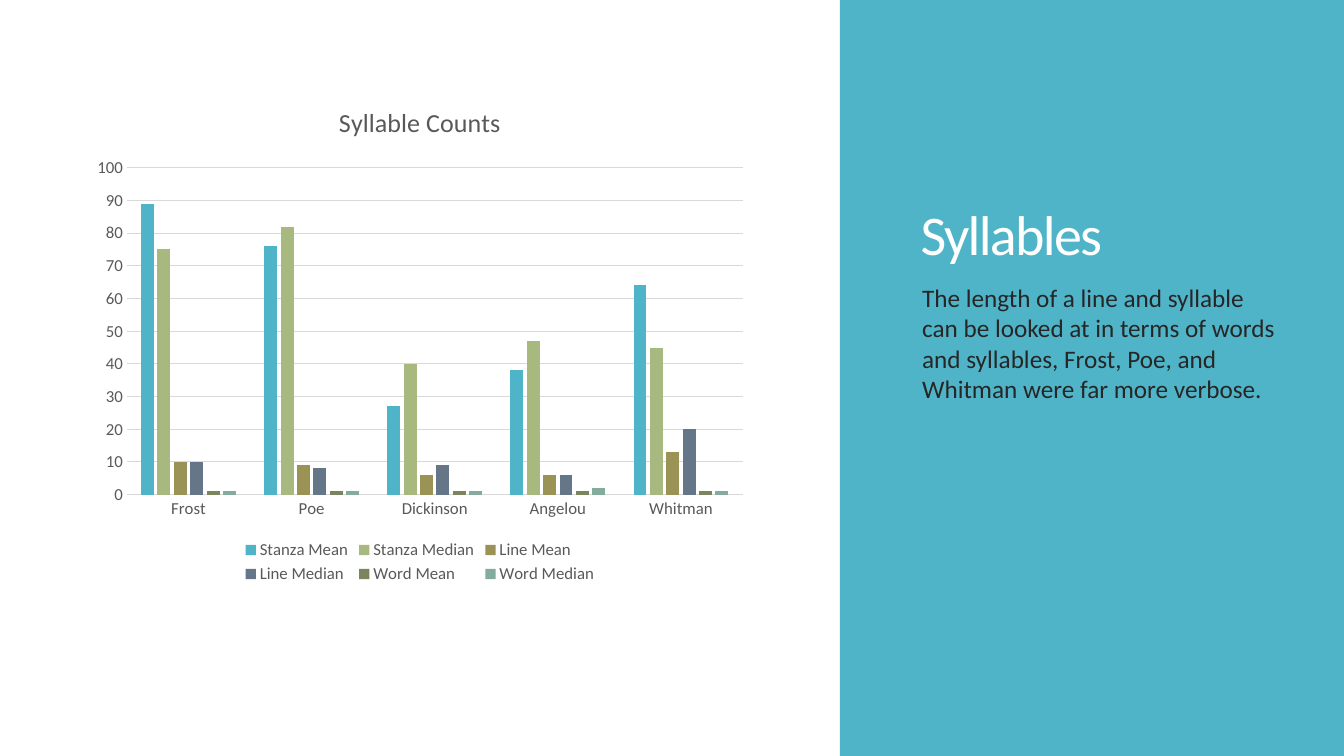
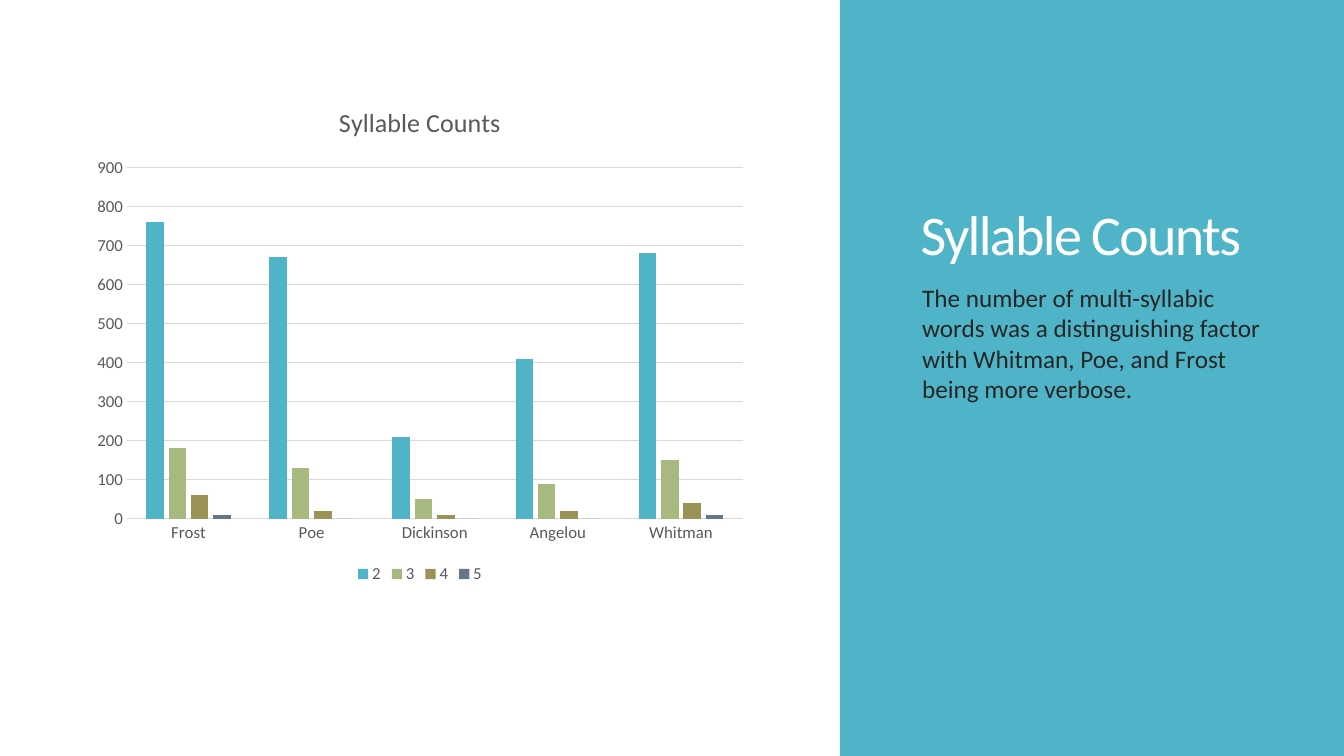
import pptx
import pptx.chart.data
import pptx.dml.color
import pptx.enum.chart
import pptx.enum.shapes
import pptx.enum.text
import pptx.util

COLORS = {
    "band": "50B4C8", "title": "FFFFFF", "body": "262626",
    "label": "595959", "grid": "D9D9D9", "page": "FFFFFF",
}
SERIES_COLORS = ["50B4C8", "A8B97F", "9B9256", "657689", "7A855D", "84AC9D"]
FONT = "Calibri"
POETS = ["Frost", "Poe", "Dickinson", "Angelou", "Whitman"]

deck = pptx.Presentation()
deck.slide_width = pptx.util.Inches(13.33)
deck.slide_height = pptx.util.Inches(7.5)
COLUMN = deck.slide_width / 16
ROW = deck.slide_height / 9
CHART_BOX = (1, 1, 8, 6)
BAND_BOX = (10, 0, 6, 9)


def grid_box(left, top, width, height):
    return (round(left * COLUMN), round(top * ROW),
            round(width * COLUMN), round(height * ROW))


def rgb(name):
    return pptx.dml.color.RGBColor.from_string(COLORS.get(name, name))


def style_font(font, size, color):
    font.name = FONT
    font.size = pptx.util.Pt(size)
    font.bold = False
    font.color.rgb = rgb(color)


def style_line(line, color):
    line.color.rgb = rgb(color)
    line.width = pptx.util.Pt(0.75)


def add_band(slide, box):
    band = slide.shapes.add_shape(
        pptx.enum.shapes.MSO_SHAPE.RECTANGLE, *grid_box(*box))
    band.shadow.inherit = False
    band.fill.solid()
    band.fill.fore_color.rgb = rgb("band")
    band.line.fill.background()
    slide.shapes.element.insert(2, band.element)


def fill_text(holder, box, words, size, color, anchor):
    holder.left, holder.top, holder.width, holder.height = grid_box(*box)
    frame = holder.text_frame
    frame.text = words
    frame.word_wrap = True
    frame.auto_size = pptx.enum.text.MSO_AUTO_SIZE.NONE
    frame.vertical_anchor = anchor
    paragraph = frame.paragraphs[0]
    paragraph.alignment = pptx.enum.text.PP_ALIGN.LEFT
    style_font(paragraph.font, size, color)
    return paragraph


def add_caption(slide, box, heading, remark):
    left, top, width, height = box
    content, caption = slide.placeholders[1], slide.placeholders[2]
    content.element.getparent().remove(content.element)
    anchors = pptx.enum.text.MSO_ANCHOR
    title = fill_text(
        slide.shapes.title,
        (left + 0.14 * width, top + 0.08 * height, 0.74 * width, 0.28 * height),
        heading, 40, "title", anchors.BOTTOM)
    title.line_spacing = 0.85
    title.runs[0].font._element.set("spc", "-120")
    body = fill_text(
        caption,
        (left + 0.143 * width, top + 0.367 * height, 0.744 * width, 0.456 * height),
        remark, 18, "body", anchors.TOP)
    body.space_before = pptx.util.Pt(12)


def add_counts_chart(slide, box, counts, top_value, step):
    data = pptx.chart.data.CategoryChartData()
    data.categories = POETS
    for name, values in counts.items():
        data.add_series(name, values)
    chart = slide.shapes.add_chart(
        pptx.enum.chart.XL_CHART_TYPE.COLUMN_CLUSTERED, *grid_box(*box), data).chart
    style_font(chart.font, 12, "label")

    chart.has_title = True
    chart.chart_title.include_in_layout = False
    chart.chart_title.text_frame.text = "Syllable Counts"
    style_font(chart.chart_title.text_frame.paragraphs[0].font, 18.6, "label")

    chart.has_legend = True
    chart.legend.position = pptx.enum.chart.XL_LEGEND_POSITION.BOTTOM
    chart.legend.include_in_layout = False
    style_font(chart.legend.font, 12, "label")

    for axis in (chart.category_axis, chart.value_axis):
        axis.major_tick_mark = pptx.enum.chart.XL_TICK_MARK.NONE
        axis.minor_tick_mark = pptx.enum.chart.XL_TICK_MARK.NONE
        style_font(axis.tick_labels.font, 12, "label")
    style_line(chart.category_axis.format.line, "grid")
    scale = chart.value_axis
    scale.minimum_scale, scale.maximum_scale, scale.major_unit = 0, top_value, step
    scale.format.line.fill.background()
    scale.has_major_gridlines = True
    style_line(scale.major_gridlines.format.line, "grid")

    plot = chart.plots[0]
    plot.gap_width = 219
    plot.overlap = -27
    plot.vary_by_categories = False
    for series, color in zip(plot.series, SERIES_COLORS):
        series.format.fill.solid()
        series.format.fill.fore_color.rgb = rgb(color)
        series.invert_if_negative = False


def add_counts_slide(heading, remark, counts, top_value, step):
    slide = deck.slides.add_slide(deck.slide_layouts.get_by_name("Content with Caption"))
    slide.background.fill.solid()
    slide.background.fill.fore_color.rgb = rgb("page")
    add_band(slide, BAND_BOX)
    add_caption(slide, BAND_BOX, heading, remark)
    add_counts_chart(slide, CHART_BOX, counts, top_value, step)


add_counts_slide(
    "Syllables",
    "The length of a line and syllable can be looked at in terms of words "
    "and syllables, Frost, Poe, and Whitman were far more verbose.",
    {
        "Stanza Mean": [89, 76, 27, 38, 64],
        "Stanza Median": [75, 82, 40, 47, 45],
        "Line Mean": [10, 9, 6, 6, 13],
        "Line Median": [10, 8, 9, 6, 20],
        "Word Mean": [1, 1, 1, 1, 1],
        "Word Median": [1, 1, 1, 2, 1],
    },
    100, 10)
add_counts_slide(
    "Syllable Counts",
    "The number of multi-syllabic words was a distinguishing factor "
    "with Whitman, Poe, and Frost being more verbose.",
    {
        "2": [760, 670, 210, 410, 680],
        "3": [180, 130, 50, 90, 150],
        "4": [60, 20, 10, 20, 40],
        "5": [10, 0, 0, 0, 10],
    },
    900, 100)

deck.save("out.pptx")
